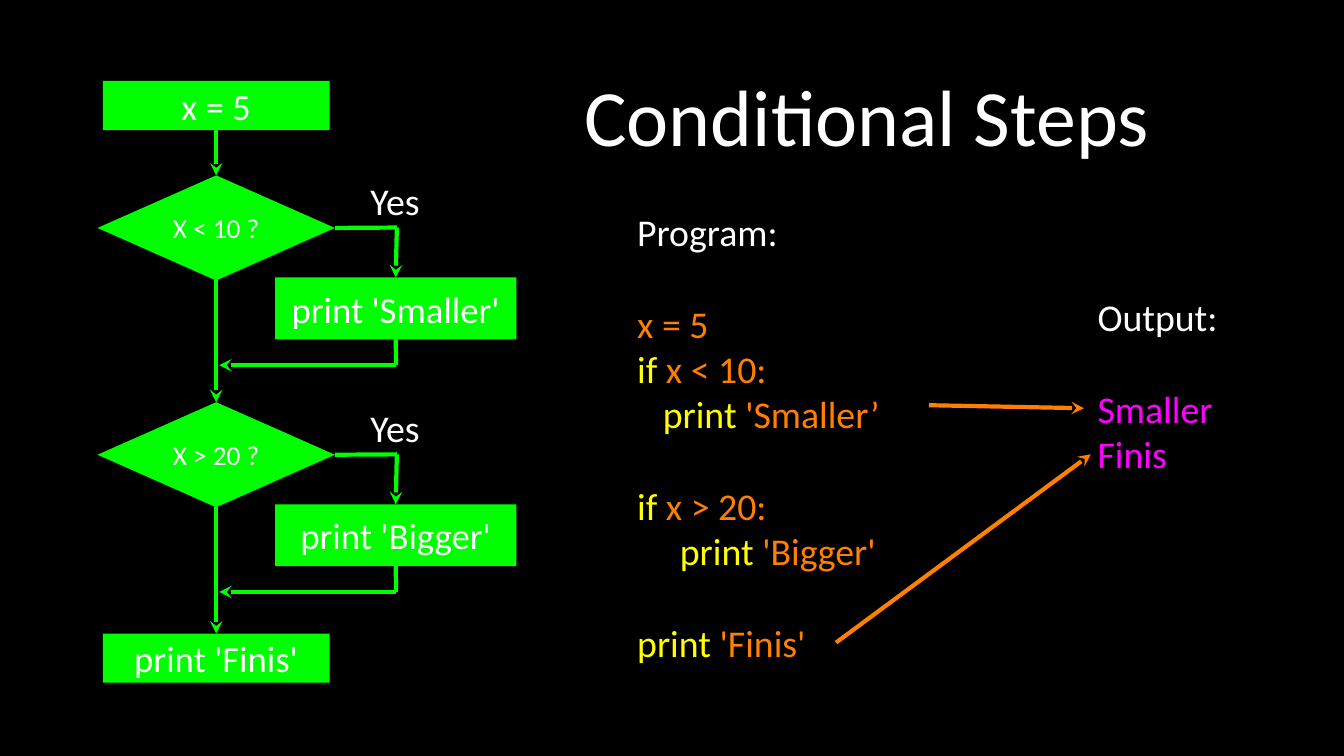
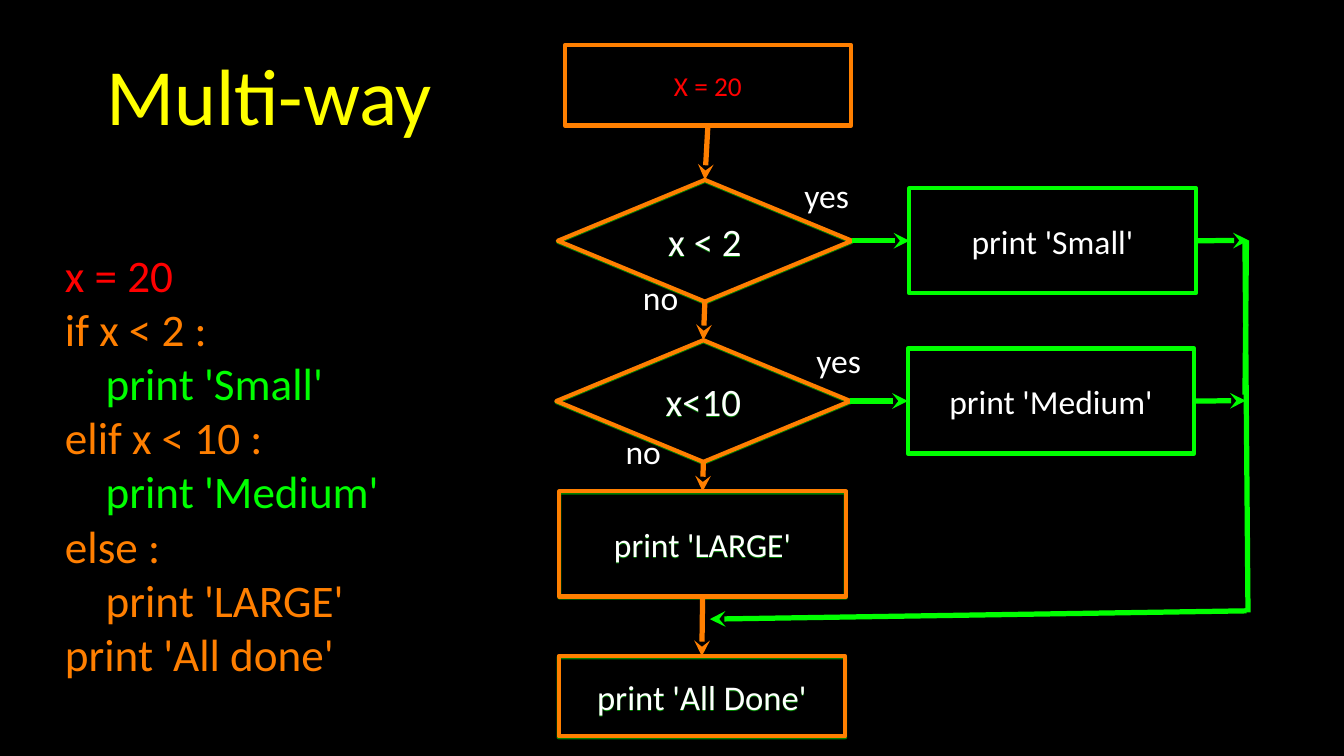
from dataclasses import dataclass
from typing import NamedTuple, Optional, Union

from lxml import etree
from pptx import Presentation
from pptx.dml.color import RGBColor
from pptx.enum.shapes import MSO_CONNECTOR, MSO_SHAPE
from pptx.enum.text import MSO_ANCHOR, MSO_AUTO_SIZE, PP_ALIGN
from pptx.oxml.ns import qn
from pptx.util import Inches, Pt

BLACK = RGBColor(0x00, 0x00, 0x00)
WHITE = RGBColor(0xFF, 0xFF, 0xFF)
GREEN = RGBColor(0x00, 0xFF, 0x00)
ORANGE = RGBColor(0xFF, 0x7F, 0x00)
YELLOW = RGBColor(0xFF, 0xFF, 0x00)
RED = RGBColor(0xFF, 0x00, 0x00)
PINK = RGBColor(0xFF, 0x00, 0xFF)

RECT, DIAMOND = MSO_SHAPE.RECTANGLE, MSO_SHAPE.DIAMOND
STRAIGHT = MSO_CONNECTOR.STRAIGHT
LEFT, CENTER = PP_ALIGN.LEFT, PP_ALIGN.CENTER
TOP_SIDE, LEFT_SIDE, BOTTOM_SIDE, RIGHT_SIDE = range(4)

FONT = "Calibri"
TITLE_SIZE = 76
TITLE_INSET = 0.04
TITLE_ONLY = 5
GAP = 44  # one blank line of 36 pt code, in points
FRAME = {
    "vertical_anchor": MSO_ANCHOR.MIDDLE,
    "auto_size": MSO_AUTO_SIZE.NONE,
    "word_wrap": True,
}
MARGINS = ("margin_left", "margin_top", "margin_right", "margin_bottom")


class Area(NamedTuple):
    left: float
    top: float
    width: float
    height: float

    def down(self, step: float) -> "Area":
        return self._replace(top=self.top + step)


class Point(NamedTuple):
    x: float
    y: float


class Port(NamedTuple):
    """The middle of one side of a named box."""
    box: str
    side: int


class Run(NamedTuple):
    text: str
    color: RGBColor


@dataclass
class Line:
    runs: list[Run]
    before: float = 0


@dataclass
class Box:
    name: str
    area: Area
    text: str
    size: float
    kind: int = RECT
    color: RGBColor = WHITE
    fill: Optional[RGBColor] = None
    edge: Optional[RGBColor] = None
    shade: Optional[RGBColor] = None


@dataclass
class Link:
    start: Union[Point, Port]
    end: Union[Point, Port]
    color: RGBColor = GREEN
    width: float = 4
    tip: bool = True


def line(text: str, color: RGBColor, before: float = 0) -> Line:
    return Line([Run(text, color)], before)


def code(word: str, rest: str, before: float = 0) -> Line:
    """A line of code that starts with a yellow keyword."""
    return Line([Run(word, YELLOW), Run(rest, ORANGE)], before)


def write(shape, lines: list[Line], size: float, align: int, inset: float = 0) -> None:
    frame = shape.text_frame
    for name, value in {**FRAME, **dict.fromkeys(MARGINS, Inches(inset))}.items():
        setattr(frame, name, value)
    for count, item in enumerate(lines):
        para = frame.add_paragraph() if count else frame.paragraphs[0]
        para.alignment = align
        para.space_before = Pt(item.before)
        for part in item.runs:
            run = para.add_run()
            run.text = part.text
            for name, value in {"name": FONT, "size": Pt(size)}.items():
                setattr(run.font, name, value)
            run.font.color.rgb = part.color


def add_title(slide, text: str, area: Area, color: RGBColor) -> None:
    title = slide.shapes.title
    for name, value in area._asdict().items():
        setattr(title, name, Inches(value))
    write(title, [line(text, color)], TITLE_SIZE, CENTER, TITLE_INSET)


def add_text(slide, area: Area, lines: list[Line], size: float, align: int = LEFT) -> None:
    write(slide.shapes.add_textbox(*map(Inches, area)), lines, size, align)


def add_shade(shape, color: RGBColor) -> None:
    """Drop a hard, half-clear shadow one point below the shape."""
    effects = shape.element.spPr.find(qn("a:effectLst"))
    shade = etree.SubElement(effects, qn("a:outerShdw"), blurRad="0", dist=str(Pt(1)),
                             dir="5400000", algn="ctr", rotWithShape="0")
    tint = etree.SubElement(shade, qn("a:srgbClr"), val=str(color))
    etree.SubElement(tint, qn("a:alpha"), val="50000")


def add_box(slide, box: Box):
    shape = slide.shapes.add_shape(box.kind, *map(Inches, box.area))
    shape.shadow.inherit = False
    for paint, color in ((shape.fill, box.fill), (shape.line.fill, box.edge)):
        if color is None:
            paint.background()
        else:
            paint.solid()
            paint.fore_color.rgb = color
    if box.edge is not None:
        shape.line.width = Pt(4)
    if box.shade is not None:
        add_shade(shape, box.shade)
    write(shape, [line(box.text, box.color)], box.size, CENTER)
    return shape


def add_link(slide, link: Link, shapes: dict) -> None:
    spots = [spot if isinstance(spot, Point) else Point(0, 0)
             for spot in (link.start, link.end)]
    wire = slide.shapes.add_connector(
        STRAIGHT, *(Inches(value) for spot in spots for value in spot))
    for spot, join in ((link.start, wire.begin_connect), (link.end, wire.end_connect)):
        if isinstance(spot, Port):
            join(shapes[spot.box], spot.side)
    wire.line.color.rgb = link.color
    wire.line.width = Pt(link.width)
    if link.tip:
        etree.SubElement(wire.get_or_add_ln(), qn("a:tailEnd"), type="stealth")
    etree.SubElement(wire.element.spPr, qn("a:effectLst"))


def add_chart(slide, boxes: list[Box], links: list[Link]) -> None:
    """Draw a flow chart."""
    shapes = {box.name: add_box(slide, box) for box in boxes}
    for link in links:
        add_link(slide, link, shapes)


def build_steps(slide) -> None:
    add_title(slide, "Conditional Steps", Area(6.43, 0.26, 10.07, 2.51), WHITE)
    add_text(slide, Area(14.52, 3.89, 1.81, 2.4), [
        line("Output:", WHITE),
        line("Smaller", PINK, GAP),
        line("Finis", PINK),
    ], 36)
    add_text(slide, Area(8.43, 2.78, 3.7, 6), [
        line("Program:", WHITE),
        line("x = 5", ORANGE, GAP),
        code("if", " x < 10:"),
        code("   print", " 'Smaller’"),
        code("if", " x > 20:", GAP),
        code("     print", " 'Bigger'"),
        code("print", " 'Finis'", GAP),
    ], 36)

    ends = Area(1.36, 1.07, 3, 0.65)
    boxes = [
        Box("start", ends, "x = 5", 35, fill=GREEN),
        Box("finis", ends.down(7.31), "print 'Finis'", 35, fill=GREEN),
    ]
    links = [
        Link(Port("start", BOTTOM_SIDE), Port("test 0", TOP_SIDE)),
        Link(Port("test 0", BOTTOM_SIDE), Port("test 1", TOP_SIDE)),
        Link(Port("test 1", BOTTOM_SIDE), Port("finis", TOP_SIDE)),
        Link(Point(12.29, 5.36), Point(14.34, 5.4), ORANGE),
        Link(Point(11.06, 8.5), Point(14.43, 6.01), ORANGE),
    ]
    for count, (test, word) in enumerate((("X < 10 ?", "Smaller"), ("X > 20 ?", "Bigger"))):
        step = 3 * count
        ask, act = f"test {count}", f"print {count}"
        turn, back = Point(5.25, 3.01 + step), Point(5.24, 4.83 + step)
        boxes += [
            Box(ask, Area(1.29, 2.32, 3.14, 1.39).down(step), test, 26, DIAMOND, fill=GREEN),
            Box(act, Area(3.64, 3.67, 3.19, 0.82).down(step), f"print '{word}'", 35, fill=GREEN),
        ]
        links += [
            Link(Port(ask, RIGHT_SIDE), turn, tip=False),
            Link(turn, Port(act, TOP_SIDE)),
            Link(Port(act, BOTTOM_SIDE), back, tip=False),
            Link(back, Point(2.9, back.y)),
        ]
        add_text(slide, Area(4.82, 2.35, 0.81, 0.6).down(step), [line("Yes", WHITE)], 36, CENTER)
    add_chart(slide, boxes, links)


def build_ways(slide) -> None:
    add_title(slide, "Multi-way", Area(0.61, 0.33, 5.9, 1.81), YELLOW)
    add_text(slide, Area(0.86, 3.27, 4.72, 5.73), [
        line("x = 20", RED),
        line("if x < 2 :", ORANGE),
        line("    print 'Small'", GREEN),
        line("elif x < 10 :", ORANGE),
        line("    print 'Medium'", GREEN),
        line("else :", ORANGE),
        line("    print 'LARGE'", ORANGE),
        line("print 'All done'", ORANGE),
    ], 43)

    main = {"edge": ORANGE, "shade": GREEN}
    boxes = [
        Box("start", Area(7.47, 0.6, 3.79, 1.06), "X = 20", 26, color=RED, edge=ORANGE),
        Box("two", Area(7.38, 2.38, 3.89, 1.61), "x < 2", 37, DIAMOND, **main),
        Box("ten", Area(7.36, 4.5, 3.89, 1.61), "x<10", 37, DIAMOND, **main),
        Box("large", Area(7.4, 6.5, 3.79, 1.39), "print 'LARGE'", 32, **main),
        Box("done", Area(7.39, 8.68, 3.79, 1.06), "print 'All Done'", 33, **main),
        Box("small", Area(12.03, 2.49, 3.79, 1.39), "print 'Small'", 32, edge=GREEN),
        Box("medium", Area(12.01, 4.61, 3.79, 1.39), "print 'Medium'", 32, edge=GREEN),
    ]
    spine = [box.name for box in boxes[:5]]
    links = [Link(Port(upper, BOTTOM_SIDE), Port(lower, TOP_SIDE), ORANGE, 5)
             for upper, lower in zip(spine, spine[1:])]
    for ask, act, out in (("two", "small", Point(16.52, 3.18)),
                          ("ten", "medium", Point(16.48, 5.3))):
        links += [
            Link(Port(ask, RIGHT_SIDE), Port(act, LEFT_SIDE), width=5),
            Link(Port(act, RIGHT_SIDE), out, width=5),
        ]
    links += [
        Link(Point(16.49, 3.18), Point(16.47, 5.22), width=5, tip=False),
        Link(Point(16.47, 3.2), Point(16.51, 8.1), width=5, tip=False),
        Link(Point(16.49, 8.08), Point(9.39, 8.19), width=5),
    ]
    add_chart(slide, boxes, links)

    yes, no = Area(10.59, 2.31, 0.69, 0.53), Area(8.47, 3.67, 0.54, 0.53)
    for text, area in (("yes", yes), ("yes", yes._replace(left=10.75, top=4.5)),
                       ("no", no), ("no", no._replace(left=8.24, top=5.7))):
        add_text(slide, area, [line(text, WHITE)], 32, CENTER)


def main() -> None:
    deck = Presentation()
    deck.slide_width, deck.slide_height = Inches(17.78), Inches(10)
    back = deck.slide_master.background.fill
    back.solid()
    back.fore_color.rgb = BLACK
    for build in (build_steps, build_ways):
        build(deck.slides.add_slide(deck.slide_layouts[TITLE_ONLY]))
    deck.save("out.pptx")


if __name__ == "__main__":
    main()
